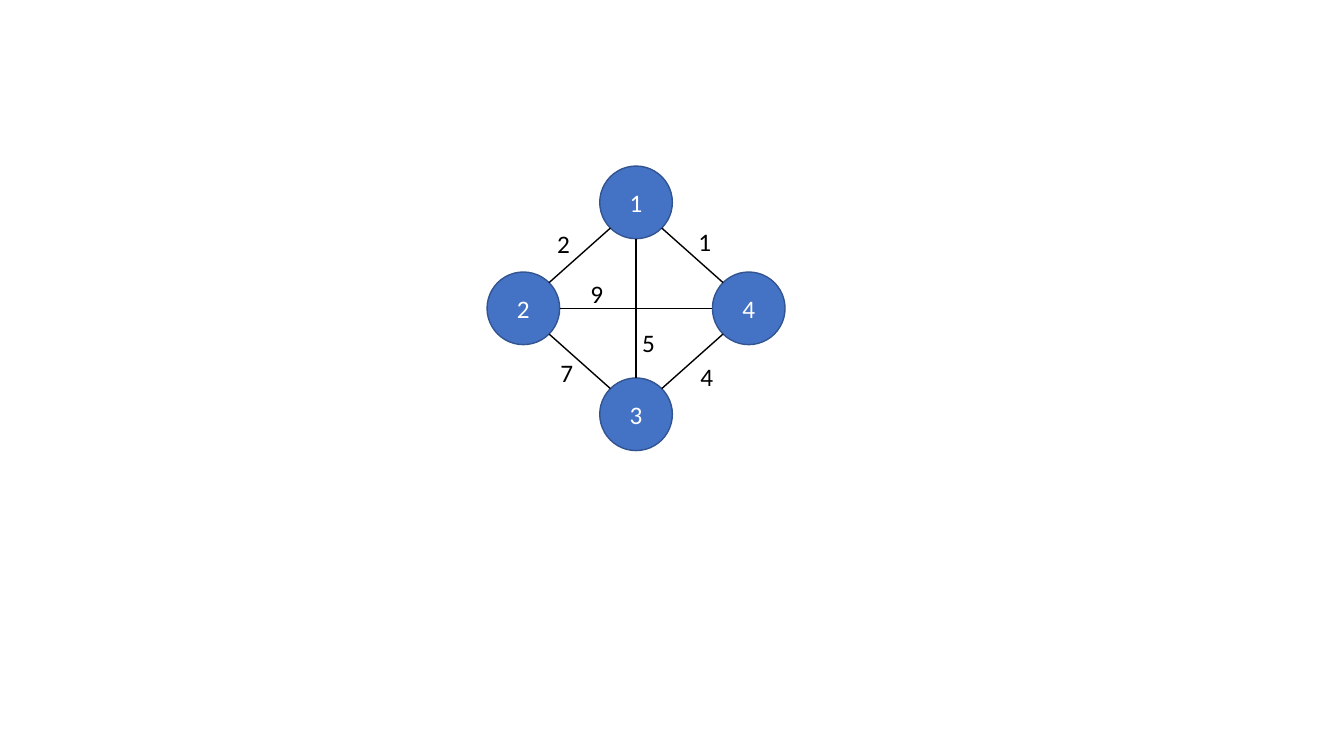
"""Builds a slide with a weighted graph of four nodes."""
import math
from dataclasses import dataclass

import pptx
import pptx.dml.color
import pptx.enum.shapes
import pptx.enum.text
import pptx.oxml.ns
import pptx.util
from lxml import etree

Cm = pptx.util.Cm
Pt = pptx.util.Pt
Align = pptx.enum.text.PP_ALIGN


@dataclass(frozen=True)
class Theme:
    """Colours, font and sizes of the slide."""
    node_fill: str = "4472C4"
    node_line: str = "325491"
    node_text: str = "FFFFFF"
    ink: str = "000000"
    font: str = "Calibri"
    text_size: int = 18
    line_width: int = 1


THEME = Theme()
DIAMETER = 1.83
CENTRE_X, CENTRE_Y = 16.03, 7.77
REACH_X, REACH_Y = 2.84, 2.67

# Node name: steps right and down from the centre of the graph
NODES = {"1": (0, -1), "3": (0, 1), "4": (1, 0), "2": (-1, 0)}

EDGES = [("1", "3"), ("2", "4"), ("2", "3"), ("3", "4"), ("2", "1"), ("1", "4")]

# Weight, left and top of its label, wrapping
WEIGHTS = [
    ("5", 15.93, 8.13, False),
    ("9", 14.63, 6.88, True),
    ("1", 17.35, 5.59, False),
    ("7", 13.87, 8.89, False),
    ("2", 13.79, 5.64, False),
    ("4", 17.4, 8.99, False),
]


def rgb(code):
    """Turn a hex code into a colour."""
    return pptx.dml.color.RGBColor.from_string(code)


def write_text(frame, text, *, color, align=None):
    """Put one formatted paragraph into a text frame."""
    para = frame.paragraphs[0]
    para.alignment = align
    span = para.add_run()
    span.text = text
    span.font.name = THEME.font
    span.font.size = Pt(THEME.text_size)
    span.font.color.rgb = rgb(color)


def set_line(line, color):
    """Give an outline or edge its colour and width."""
    line.color.rgb = rgb(color)
    line.width = Pt(THEME.line_width)


def node_centre(name):
    """Return the centre of a node in centimetres."""
    across, down = NODES[name]
    return CENTRE_X + across * REACH_X, CENTRE_Y + down * REACH_Y


def add_node(page, name):
    """Draw a numbered circle."""
    x, y = node_centre(name)
    radius = DIAMETER / 2
    circle = page.shapes.add_shape(
        pptx.enum.shapes.MSO_SHAPE.OVAL,
        Cm(x - radius), Cm(y - radius), Cm(DIAMETER), Cm(DIAMETER))
    circle.shadow.inherit = False
    circle.fill.solid()
    circle.fill.fore_color.rgb = rgb(THEME.node_fill)
    set_line(circle.line, THEME.node_line)
    circle.text_frame.vertical_anchor = pptx.enum.text.MSO_ANCHOR.MIDDLE
    write_text(circle.text_frame, name, color=THEME.node_text, align=Align.CENTER)


def rim_point(name, other):
    """Return the rim point, at a multiple of 45 degrees, that faces another node."""
    x, y = node_centre(name)
    other_x, other_y = node_centre(other)
    eighth = math.pi / 4
    angle = round(math.atan2(other_y - y, other_x - x) / eighth) * eighth
    radius = DIAMETER / 2
    return Cm(x + radius * math.cos(angle)), Cm(y + radius * math.sin(angle))


def add_edge(page, start, end):
    """Draw a straight line between the rims of two nodes."""
    edge = page.shapes.add_connector(
        pptx.enum.shapes.MSO_CONNECTOR.STRAIGHT,
        *rim_point(start, end), *rim_point(end, start))
    set_line(edge.line, THEME.ink)
    etree.SubElement(edge._element.spPr, pptx.oxml.ns.qn("a:effectLst"))


def add_weight(page, weight, left, top, wrap):
    """Place the weight of an edge."""
    box = page.shapes.add_textbox(Cm(left), Cm(top), Cm(0.84), Cm(1.02))
    box.text_frame.word_wrap = wrap
    box.text_frame.auto_size = pptx.enum.text.MSO_AUTO_SIZE.SHAPE_TO_FIT_TEXT
    write_text(box.text_frame, weight, color=THEME.ink)


def main():
    """Build and save the deck."""
    deck = pptx.Presentation()
    deck.slide_width, deck.slide_height = Cm(33.87), Cm(19.05)
    page = deck.slides.add_slide(deck.slide_layouts[6])
    for name in NODES:
        add_node(page, name)
    for start, end in EDGES:
        add_edge(page, start, end)
    for label in WEIGHTS:
        add_weight(page, *label)
    deck.save("out.pptx")


main()
